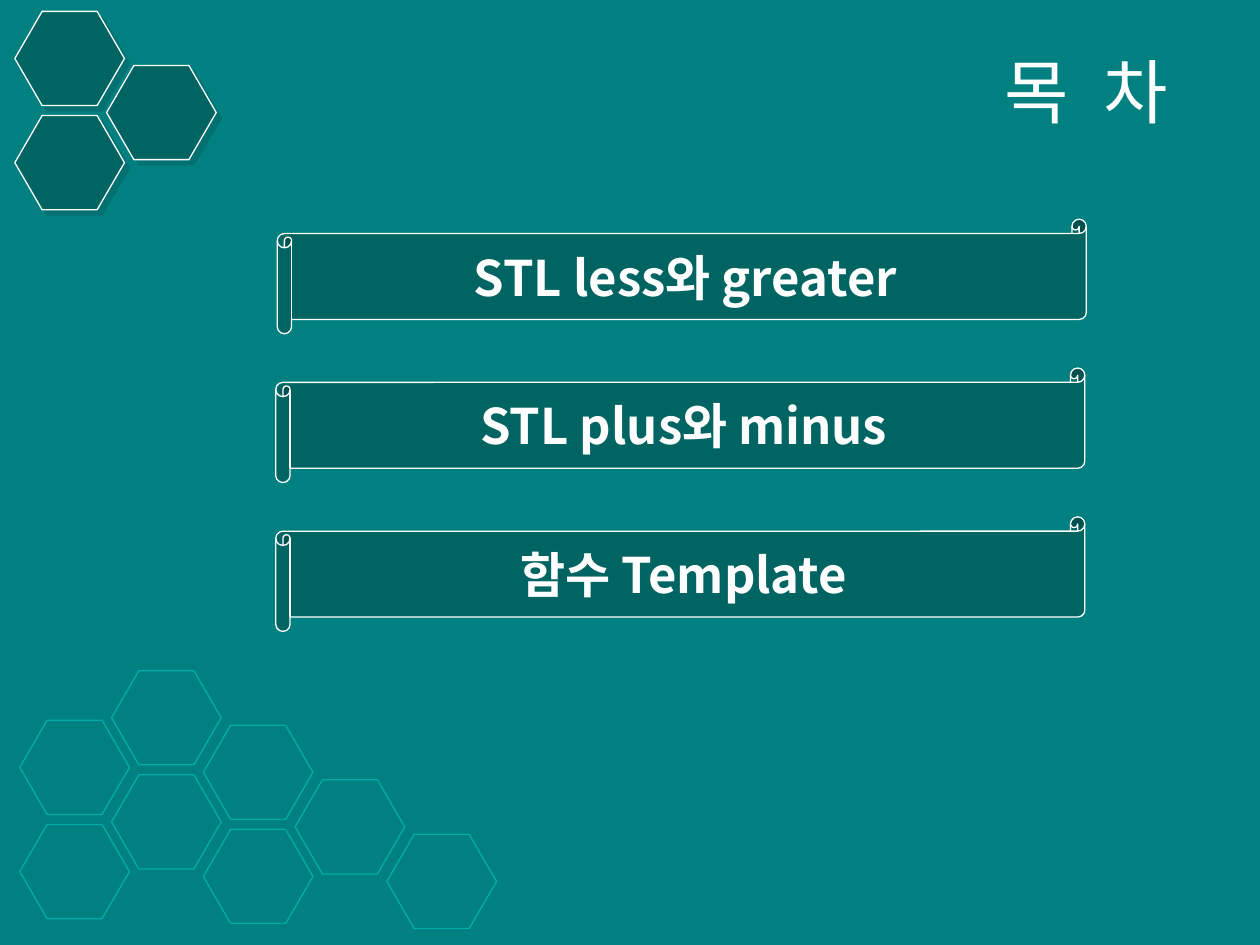
from dataclasses import dataclass

from lxml import etree
from pptx import Presentation
from pptx.dml.color import RGBColor
from pptx.enum.shapes import MSO_SHAPE
from pptx.enum.text import MSO_ANCHOR, PP_ALIGN
from pptx.oxml.ns import qn
from pptx.util import Cm, Pt

HEXAGON = MSO_SHAPE.HEXAGON
SCROLL = MSO_SHAPE.HORIZONTAL_SCROLL
MIDDLE = MSO_ANCHOR.MIDDLE
CENTER, RIGHT = PP_ALIGN.CENTER, PP_ALIGN.RIGHT

TEAL, DARK, LIGHT, WHITE = "008080", "006462", "00ACA8", "FFFFFF"
LATIN, KOREAN = "Arial", "Noto Sans CJK KR"
COL_STEP, ROW_STEP = 1.85, 2.1


@dataclass
class Column:
    """A stack of hexagons: grid column, top in cm and count."""
    index: int
    top: float
    count: int


@dataclass
class Topic:
    left: float
    text: str


OUTLINED = [Column(0, 14.52, 2), Column(1, 13.52, 2), Column(2, 14.62, 2),
            Column(3, 15.72, 1), Column(4, 16.82, 1)]
FILLED = [Column(0, 0.23, 2), Column(1, 1.32, 1)]
TOPICS = [Topic(5.59, "STL less와 greater"),
          Topic(5.56, "STL plus와 minus"),
          Topic(5.56, "함수 Template")]


def color(code: str) -> RGBColor:
    return RGBColor.from_string(code)


def add_box(slide, kind, left: float, top: float, width: float,
            height: float, line: str, fill: str | None):
    box = slide.shapes.add_shape(kind, Cm(left), Cm(top), Cm(width), Cm(height))
    box.shadow.inherit = False
    box.line.color.rgb = color(line)
    box.line.width = Pt(0.75)
    if fill:
        box.fill.solid()
        box.fill.fore_color.rgb = color(fill)
    else:
        box.fill.background()
    return box


def add_shadow(box) -> None:
    effects = box._element.spPr.find(qn("a:effectLst"))
    shadow = etree.SubElement(effects, qn("a:outerShdw"), dist=str(Pt(4.2)),
                              dir="2700000", algn="ctr", rotWithShape="0")
    tint = etree.SubElement(shadow, qn("a:srgbClr"), val=DARK)
    etree.SubElement(tint, qn("a:alpha"), val="50000")


def add_comb(slide, columns: list[Column], left: float, line: str,
             fill: str | None = None) -> None:
    for col in columns:
        for row in range(col.count):
            cell = add_box(slide, HEXAGON, left + col.index * COL_STEP,
                           col.top + row * ROW_STEP, 2.21, 1.9, line, fill)
            cell.adjustments[0] = 0.29
            if fill:
                add_shadow(cell)


def add_run(para, text: str, size: int, face: str, bold: bool = False):
    run = para.add_run()
    run.text = text
    font = run.font
    font.size, font.name, font.bold = Pt(size), face, bold
    font.color.rgb = color(WHITE)
    props = run._r.get_or_add_rPr()
    etree.SubElement(props, qn("a:ea"), typeface=KOREAN)
    return props


def set_title(slide) -> None:
    title = slide.shapes.title
    title.left, title.top = Cm(4.7), Cm(0.71)
    title.width, title.height = Cm(19.1), Cm(2.21)
    title.text_frame.vertical_anchor = MIDDLE
    para = title.text_frame.paragraphs[0]
    para.alignment = RIGHT
    add_run(para, "목", 40, LATIN)
    add_run(para, " ", 40, LATIN).set("spc", "1100")
    add_run(para, "차", 40, LATIN)


def add_topic(slide, topic: Topic, top: float) -> None:
    box = add_box(slide, SCROLL, topic.left, top, 16.31, 2.31, WHITE, DARK)
    box.text_frame.vertical_anchor = MIDDLE
    para = box.text_frame.paragraphs[0]
    para.alignment = CENTER
    add_run(para, topic.text, 28, KOREAN, bold=True)


def main() -> None:
    deck = Presentation()
    deck.slide_width, deck.slide_height = Cm(25.4), Cm(19.05)
    slide = deck.slides.add_slide(deck.slide_layouts[5])
    slide.background.fill.solid()
    slide.background.fill.fore_color.rgb = color(TEAL)
    add_comb(slide, OUTLINED, 0.4, LIGHT)
    add_comb(slide, FILLED, 0.3, WHITE, DARK)
    set_title(slide)
    for i, topic in enumerate(TOPICS):
        add_topic(slide, topic, 4.42 + 3 * i)
    deck.save("out.pptx")


if __name__ == "__main__":
    main()
